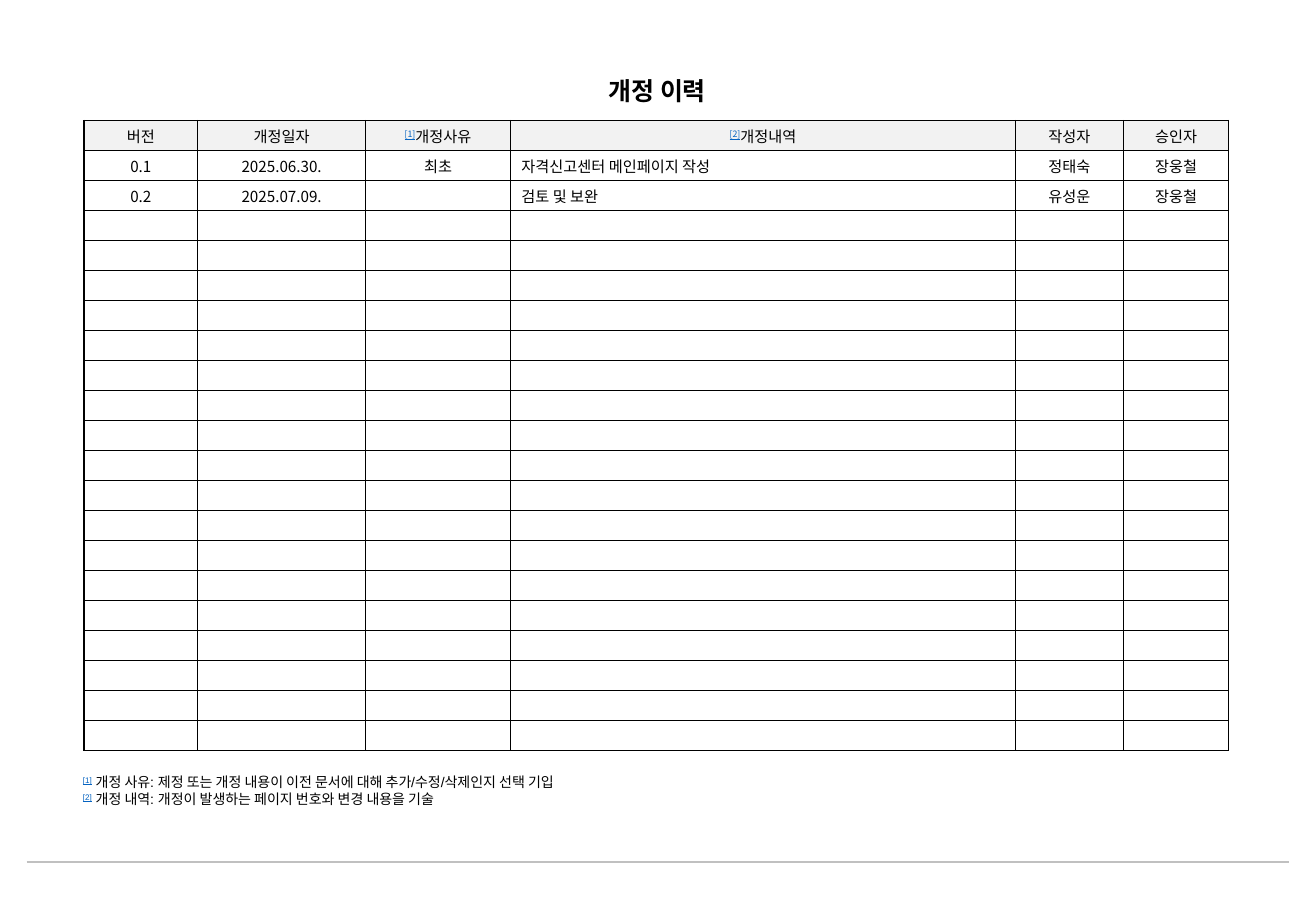
from lxml.etree import SubElement
from pptx import Presentation
from pptx.dml.color import RGBColor
from pptx.enum.shapes import MSO_CONNECTOR
from pptx.enum.text import MSO_ANCHOR, MSO_AUTO_SIZE, PP_ALIGN
from pptx.oxml.ns import qn
from pptx.util import Pt

TITLE = "개정 이력"
HEADERS = ["버전", "개정일자", ("[1]", "개정사유"), ("[2]", "개정내역"), "작성자", "승인자"]
REVISIONS = [
    ["0.1", "2025.06.30.", "최초", "자격신고센터 메인페이지 작성", "정태숙", "장웅철"],
    ["0.2", "2025.07.09.", "", "검토 및 보완", "유성운", "장웅철"],
]
FOOTNOTES = [
    ("[1]", " 개정 사유: 제정 또는 개정 내용이 이전 문서에 대해 추가/수정/삭제인지 선택 기입"),
    ("[2]", " 개정 내역: 개정이 발생하는 페이지 번호와 변경 내용을 기술"),
]
COLUMN_WIDTHS = [67.3, 99.6, 85.9, 299.3, 64, 62.5]
ROW_COUNT = 21
ROW_HEIGHT = 17.78
DETAIL_COLUMN = 3
LATIN, KOREAN = "Arial", "Noto Sans CJK KR"
BLACK = RGBColor(0, 0, 0)
LINK_BLUE = RGBColor(0x05, 0x63, 0xC1)
HEADER_GRAY = RGBColor(0xF2, 0xF2, 0xF2)
RULE_GRAY = RGBColor(0xC0, 0xC0, 0xC0)


def format_span(span, size, face, color=BLACK, bold=False):
    font = span.font
    font.size, font.name, font.bold = Pt(size), face, bold
    font.color.rgb = color
    SubElement(span._r.get_or_add_rPr(), qn("a:ea"), typeface=KOREAN)


def write_spans(para, content, size, face):
    parts = content if isinstance(content, tuple) else (content,)
    for part in parts:
        span = para.add_run()
        span.text = part
        is_mark = part.startswith("[")
        format_span(span, size, face, LINK_BLUE if is_mark else BLACK)
        if is_mark:
            span.font.underline = True
            span._r.get_or_add_rPr().set("baseline", "30000")


def add_borders(cell):
    properties = cell._tc.get_or_add_tcPr()
    for side in ("lnL", "lnR", "lnT", "lnB"):
        line = SubElement(properties, qn(f"a:{side}"), w=str(Pt(1)))
        fill = SubElement(line, qn("a:solidFill"))
        SubElement(fill, qn("a:srgbClr"), val=str(BLACK))


def fit_frame(frame):
    frame.word_wrap = False
    frame.auto_size = MSO_AUTO_SIZE.SHAPE_TO_FIT_TEXT
    frame.vertical_anchor = MSO_ANCHOR.MIDDLE


def add_title(page):
    title = page.shapes.title
    title.left, title.top, title.width, title.height = Pt(350.6), Pt(41), Pt(78), Pt(25.2)
    fit_frame(title.text_frame)
    title.text_frame.text = TITLE
    para = title.text_frame.paragraphs[0]
    para.alignment = PP_ALIGN.CENTER
    format_span(para.runs[0], 14.8, LATIN, bold=True)


def add_history(page):
    frame = page.shapes.add_table(
        ROW_COUNT, len(HEADERS), Pt(49.8), Pt(71.5),
        Pt(sum(COLUMN_WIDTHS)), Pt(ROW_COUNT * ROW_HEIGHT))
    table = frame.table
    table.first_row = table.horz_banding = False
    for column, width in zip(table.columns, COLUMN_WIDTHS):
        column.width = Pt(width)
    blanks = [[""] * len(HEADERS)] * (ROW_COUNT - 1 - len(REVISIONS))
    for row_index, values in enumerate([HEADERS] + REVISIONS + blanks):
        table.rows[row_index].height = Pt(ROW_HEIGHT)
        for column_index, content in enumerate(values):
            cell = table.cell(row_index, column_index)
            add_borders(cell)
            if row_index == 0:
                cell.fill.solid()
                cell.fill.fore_color.rgb = HEADER_GRAY
            else:
                cell.fill.background()
            cell.margin_left = cell.margin_right = Pt(6.5)
            cell.margin_top = cell.margin_bottom = Pt(2)
            cell.vertical_anchor = MSO_ANCHOR.MIDDLE
            para = cell.text_frame.paragraphs[0]
            is_detail = row_index > 0 and column_index == DETAIL_COLUMN
            para.alignment = PP_ALIGN.LEFT if is_detail else PP_ALIGN.CENTER
            if content:
                write_spans(para, content, 9, KOREAN)
            else:
                SubElement(para._p, qn("a:endParaRPr"), sz="900")


def add_footnotes(page):
    box = page.shapes.add_textbox(Pt(42), Pt(455), Pt(332.6), Pt(27.4))
    frame = box.text_frame
    fit_frame(frame)
    for index, note in enumerate(FOOTNOTES):
        para = frame.add_paragraph() if index else frame.paragraphs[0]
        para.alignment = PP_ALIGN.LEFT
        write_spans(para, note, 8.3, LATIN)


def add_footer_rule(page):
    rule = page.shapes.add_connector(
        MSO_CONNECTOR.STRAIGHT, Pt(15.8), Pt(511), Pt(764), Pt(511))
    rule.line.color.rgb = RULE_GRAY
    rule.line.width = Pt(1.5)
    SubElement(rule._element.spPr, qn("a:effectLst"))


def main():
    deck = Presentation()
    deck.slide_width, deck.slide_height = Pt(780), Pt(540)
    page = deck.slides.add_slide(deck.slide_layouts[5])
    add_footer_rule(page)
    add_footnotes(page)
    add_title(page)
    add_history(page)
    deck.save("out.pptx")


if __name__ == "__main__":
    main()
